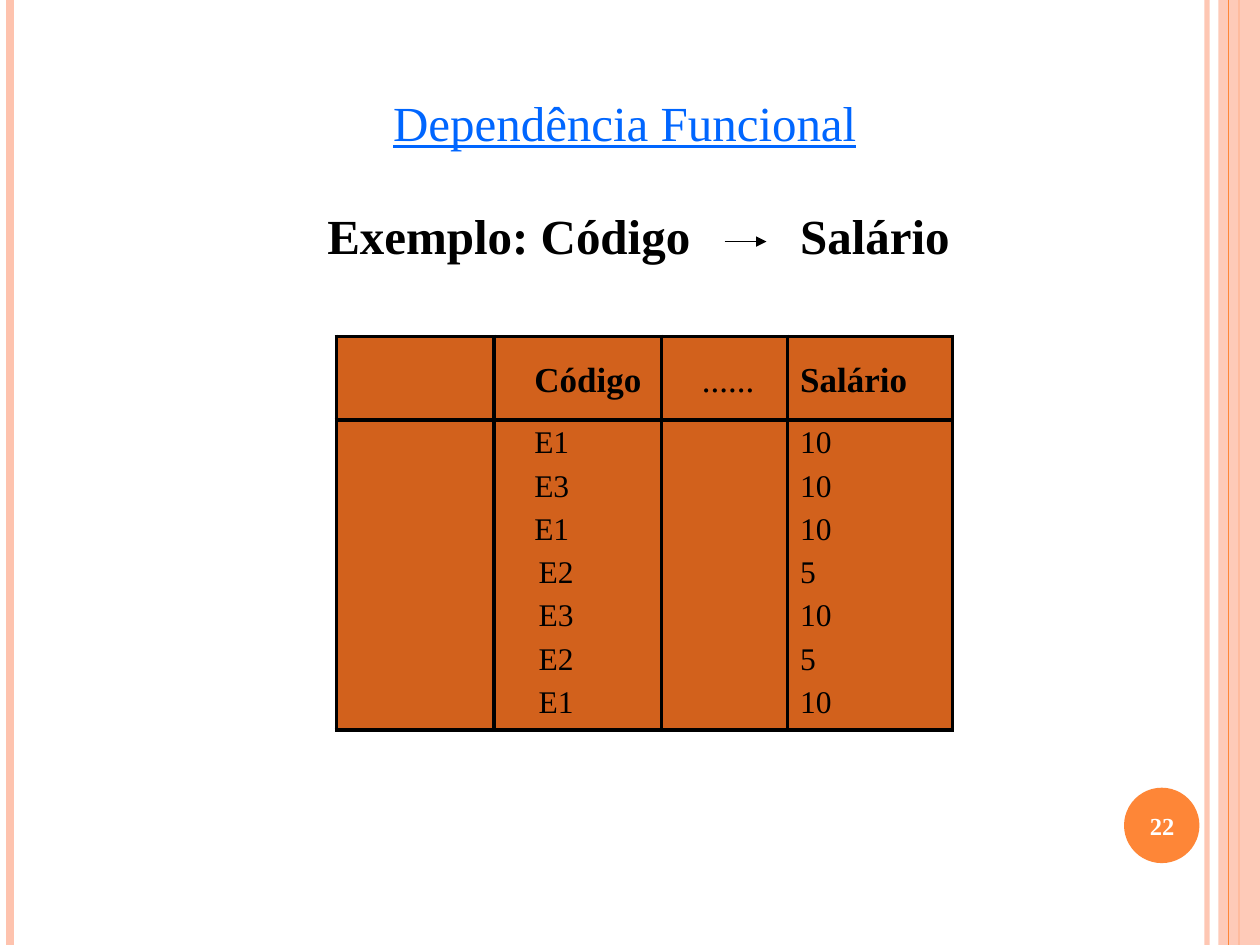
from dataclasses import dataclass
from pptx import Presentation as Deck
from pptx.dml.color import RGBColor as Rgb
from pptx.enum.shapes import MSO_CONNECTOR as Link, MSO_SHAPE as Kind
from pptx.enum.text import MSO_ANCHOR as Anchor, MSO_AUTO_SIZE as Auto, PP_ALIGN as Align
from pptx.oxml.ns import qn
from pptx.util import Cm, Pt
from lxml.etree import SubElement as Sub


@dataclass(frozen=True)
class Theme:
    face: str = "Times New Roman"
    ink: str = "000000"
    link: str = "0066FF"
    white: str = "FFFFFF"
    peach: str = "FEC3AE"
    orange: str = "FE8637"
    rust: str = "D2611C"
    large: int = 28
    head: int = 20
    body: int = 18
    small: int = 14
    rule: float = 2.25


def assign(target, values):
    for name, value in values.items():
        setattr(target, name, value)


def fade(fill, share):
    color = fill._xPr.find(qn("a:solidFill"))[0]
    Sub(color, qn("a:alpha"), val=str(share * 1000))


class Page:
    def __init__(self, slide, theme):
        self.slide = slide
        self.shapes = slide.shapes
        self.theme = theme

    def label(self, frame, text, size, color=None, align=Align.LEFT, tab=None, **style):
        para = frame.paragraphs[0]
        para.alignment = align
        if tab:
            stops = Sub(para._p.get_or_add_pPr(), qn("a:tabLst"))
            Sub(stops, qn("a:tab"), pos=str(Cm(tab)), algn="l")
        run = para.add_run()
        run.text = text
        assign(run.font, {"name": self.theme.face, "size": Pt(size), **style})
        run.font.color.rgb = Rgb.from_string(color or self.theme.ink)

    def title(self, box, text, **style):
        holder = self.shapes.title
        assign(holder, dict(zip(("left", "top", "width", "height"), map(Cm, box))))
        assign(holder.text_frame, {
            "auto_size": Auto.NONE, "word_wrap": True,
            "vertical_anchor": Anchor.TOP, "margin_top": Cm(0.23)})
        self.label(holder.text_frame, text, self.theme.large, **style)

    def text(self, box, text, size, **style):
        frame = self.shapes.add_textbox(*map(Cm, box)).text_frame
        assign(frame, {"word_wrap": True, "vertical_anchor": Anchor.MIDDLE})
        self.label(frame, text, size, **style)

    def shape(self, kind, box, color, share=None):
        item = self.shapes.add_shape(kind, *map(Cm, box))
        item.shadow.inherit = False
        item.fill.solid()
        item.fill.fore_color.rgb = Rgb.from_string(color)
        item.line.fill.background()
        if share:
            fade(item.fill, share)

    def line(self, ends, color, width, share=None, arrow=False):
        item = self.shapes.add_connector(Link.STRAIGHT, *map(Cm, ends))
        item.line.width = Pt(width)
        item.line.color.rgb = Rgb.from_string(color)
        if share:
            fade(item.line.fill, share)
        if arrow:
            Sub(item.line._ln, qn("a:tailEnd"), type="triangle")
        Sub(item._element.spPr, qn("a:effectLst"))

    def edge(self, cell, sides):
        props = cell._tc.get_or_add_tcPr()
        for side in "LRTB":
            line = Sub(props, qn("a:ln" + side), w=str(Pt(self.theme.rule)))
            if side in sides:
                paint = Sub(line, qn("a:solidFill"))
                Sub(paint, qn("a:srgbClr"), val=self.theme.ink)
            else:
                Sub(line, qn("a:noFill"))

    def table(self, left, top, widths, heights, rows, insets):
        grid = self.shapes.add_table(
            len(rows), len(widths), Cm(left), Cm(top),
            Cm(sum(widths)), Cm(sum(heights))).table
        assign(grid, {"first_row": False, "horz_banding": False})
        for col, width in zip(grid.columns, widths):
            col.width = Cm(width)
        for row, height in zip(grid.rows, heights):
            row.height = Cm(height)
        for r, row in enumerate(rows):
            for c, text in enumerate(row):
                cell = grid.cell(r, c)
                sides = "LR" + "T" * (r < 2) + "B" * (r in (0, len(rows) - 1))
                self.edge(cell, sides)
                cell.fill.solid()
                cell.fill.fore_color.rgb = Rgb.from_string(self.theme.rust)
                shift = 0.09 if c == 1 and r > 3 else 0
                assign(cell, {
                    "margin_left": Cm(insets[c] + shift), "margin_right": 0,
                    "margin_top": Cm(0.11), "margin_bottom": 0,
                    "vertical_anchor": Anchor.TOP if r else Anchor.MIDDLE})
                if text:
                    size = self.theme.body if r else self.theme.head
                    self.label(cell.text_frame, text, size, bold=not r and c != 2)


def main():
    deck = Deck()
    assign(deck, {"slide_width": Cm(25.4), "slide_height": Cm(19.05)})
    theme = Theme()
    page = Page(deck.slides.add_slide(deck.slide_layouts[5]), theme)

    for x, color, width, share in (
            (24.33, theme.peach, 3, 93),
            (0.21, theme.peach, 4.5, None),
            (24.98, theme.orange, 1.5, None)):
        page.line((x, 0, x, 19.05), color, width, share)
    page.shape(Kind.RECTANGLE, (24.56, 0, 0.84, 19.05), theme.peach, 87)
    page.line((24.77, 0, 24.77, 19.05), theme.orange, 0.75)
    page.shape(Kind.OVAL, (22.66, 15.88, 1.52, 1.52), theme.orange)
    page.text((22.58, 15.93, 1.7, 1.45), "22", theme.small,
              color=theme.white, align=Align.CENTER, bold=True)

    page.title((1.7, 1.63, 21.79, 2.74), "Dependência Funcional",
               color=theme.link, align=Align.CENTER, underline=True)
    page.text((6.35, 4.01, 14.17, 1.45), "Exemplo: Código\tSalário",
              theme.large, tab=9.53, bold=True)

    codes = ("E1", "E3", "E1", "E2", "E3", "E2", "E1")
    wages = ("10", "10", "10", "5", "10", "5", "10")
    rows = [("", "Código", "......", "Salário")]
    rows += [("", code, "", wage) for code, wage in zip(codes, wages)]
    page.table(6.78, 6.78, (3.18, 3.38, 2.54, 3.32),
               (1.69, *[0.85] * 6, 1.01), rows, (0.25, 0.81, 0.81, 0.25))
    page.line((14.61, 4.87, 15.45, 4.87), theme.ink, 0.75, arrow=True)

    deck.save("out.pptx")


if __name__ == "__main__":
    main()
